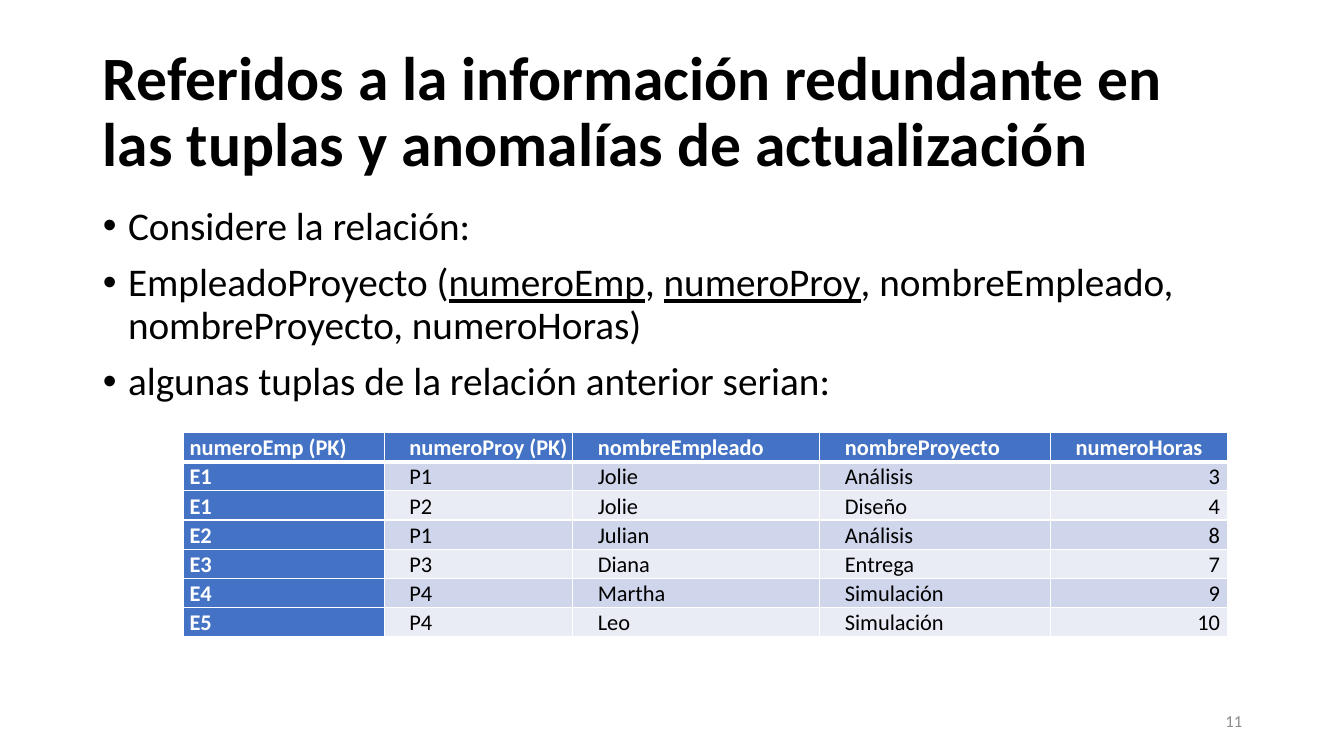
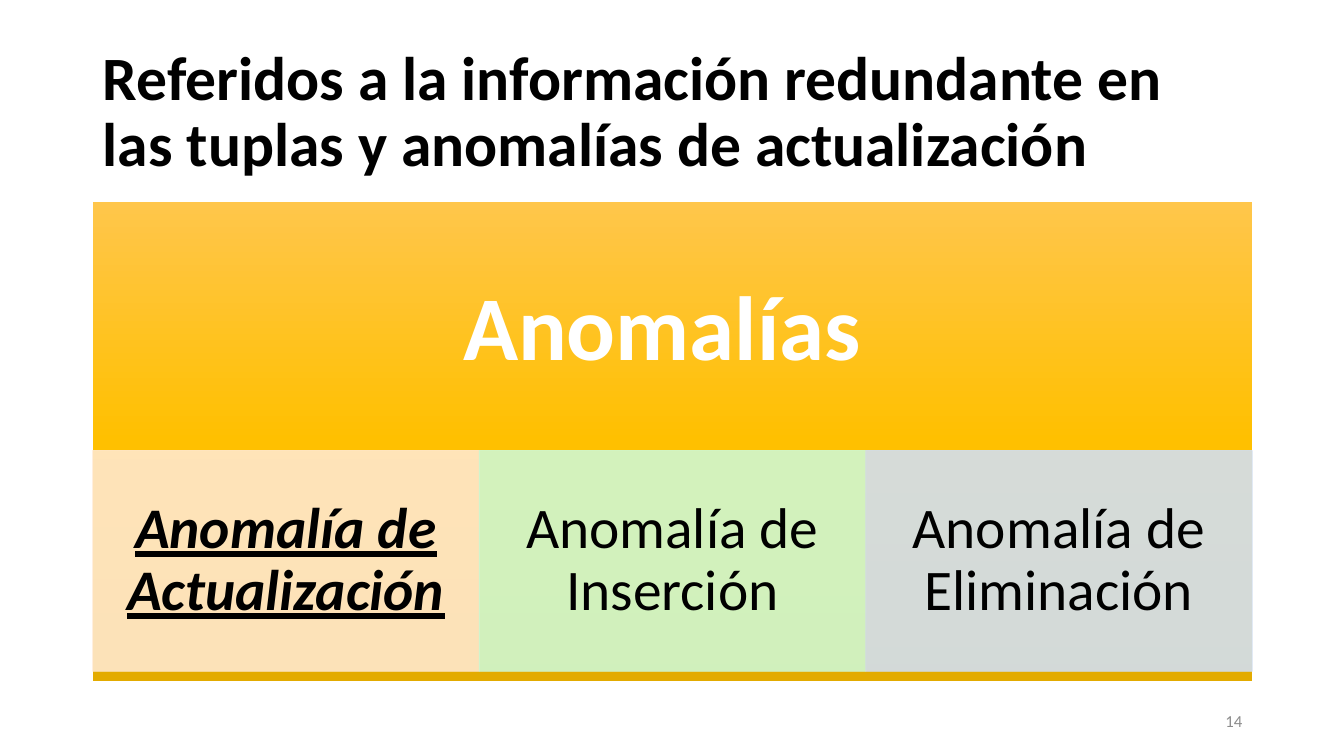
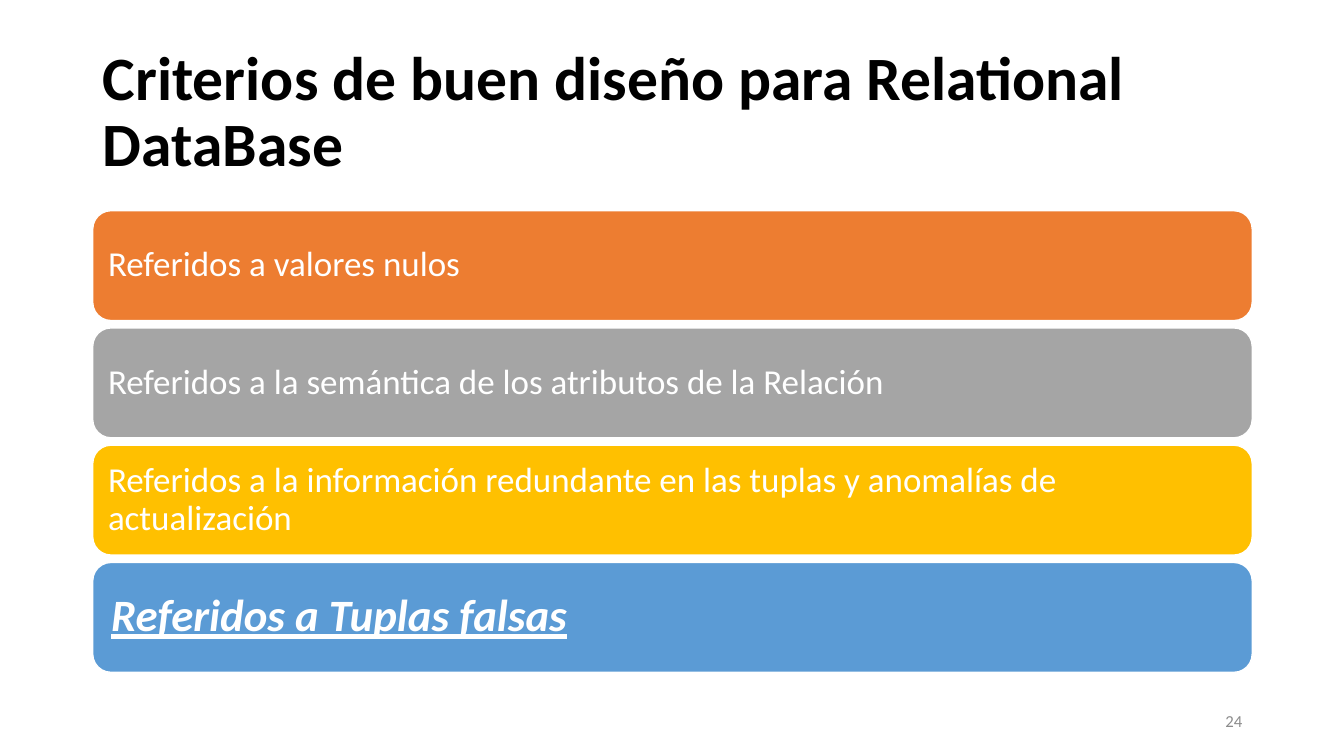
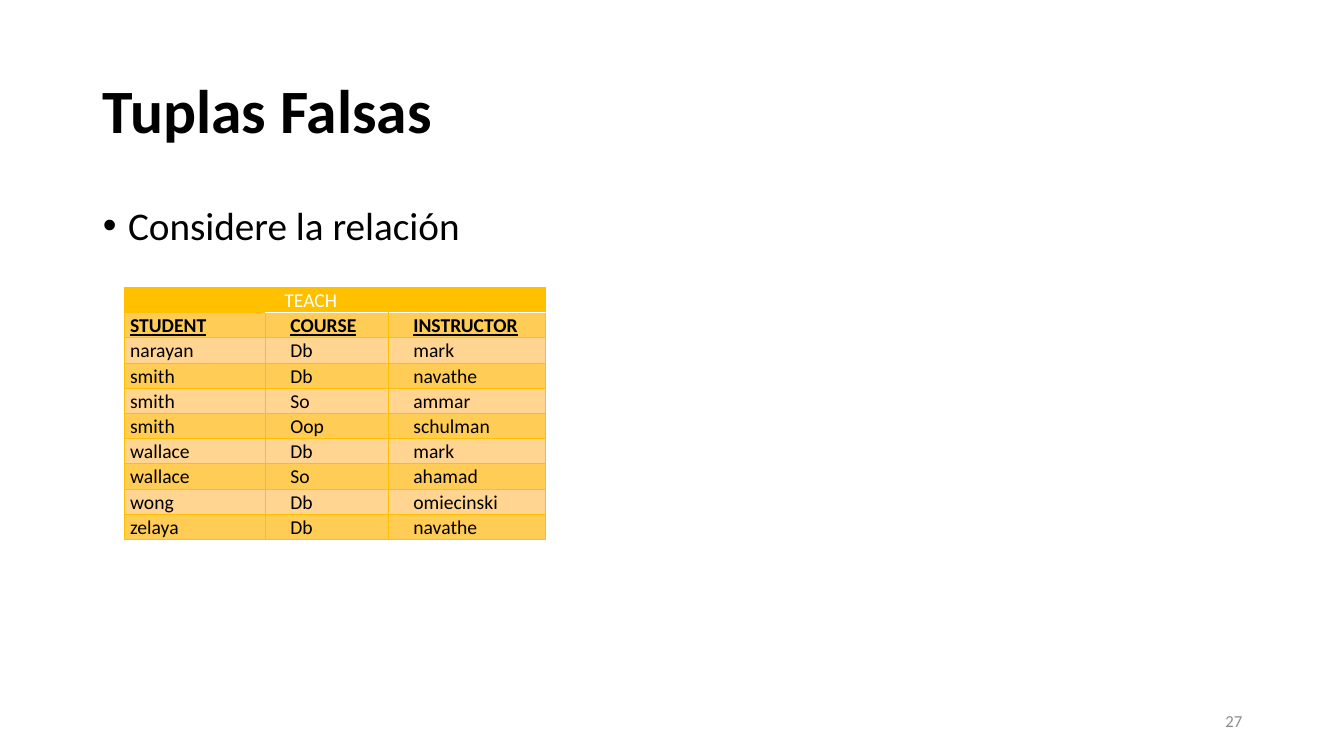
from copy import deepcopy
from dataclasses import dataclass
from typing import Callable

from lxml import etree
from pptx import Presentation
from pptx.dml.color import RGBColor
from pptx.enum.shapes import MSO_SHAPE as Preset
from pptx.enum.text import MSO_ANCHOR as Anchor, MSO_AUTO_SIZE as AutoSize, PP_ALIGN as Align
from pptx.oxml.ns import qn
from pptx.util import Inches, Pt


@dataclass(frozen=True)
class Theme:
    # Colours
    black: str = "000000"
    white: str = "FFFFFF"
    gray: str = "A5A5A5"
    number: str = "8C8C8C"
    blue: str = "4472C4"
    sky: str = "5B9BD5"
    orange: str = "ED7D31"
    gold: str = "FFC000"
    blue_bands: tuple = ("E9EBF5", "CFD5EA")
    gold_bands: tuple = ("FFD591", "FFCC55")
    gradient: tuple = ("FFC64B", "FFC000", "E3AB00")
    panels: tuple = ("FFE8CC", "CFF8D1", "D2DFF0")
    # Type
    font: str = "Calibri"
    title_size: int = 44
    body_size: int = 28
    number_size: int = 12
    banner_size: int = 65
    panel_size: int = 41
    bar_size: int = 25
    strong_bar_size: int = 32
    # Shared column of the page, in inches
    left: float = 0.92
    width: float = 11.5
    body_top: float = 2
    body_height: float = 4.76


THEME = Theme()
REDUNDANCY = "Referidos a la información redundante en las tuplas y anomalías de actualización"


@dataclass(frozen=True)
class TableLook:
    size: int
    border: tuple                # colour, points
    rule: tuple                  # line below the first row
    rule_from: int               # first column that has the rule
    margin_right: float
    fill: Callable               # (row, column) -> colour
    ink: Callable                # (row, column) -> colour, bold, underline


# Text helpers
def format_runs(para, size, colour, bold=False, italic=False, underline=False):
    for span in para.runs:
        font = span.font
        font.name, font.size = THEME.font, Pt(size)
        font.color.rgb = RGBColor.from_string(colour)
        font.bold, font.italic, font.underline = bold, italic, underline


def set_indent(para, left, first):
    properties = para._p.get_or_add_pPr()
    properties.set("marL", str(Inches(left)))
    properties.set("indent", str(Inches(first)))


def set_margins(frame, horizontal, vertical):
    frame.margin_left = frame.margin_right = Inches(horizontal)
    frame.margin_top = frame.margin_bottom = Inches(vertical)


def place(shape, left, top, width, height):
    shape.left, shape.top = Inches(left), Inches(top)
    shape.width, shape.height = Inches(width), Inches(height)


# Parts every page shares
def add_page(deck, layout, title, number):
    page = deck.slides.add_slide(deck.slide_layouts[layout])
    heading = page.shapes.title
    place(heading, THEME.left, 0.4, THEME.width, 1.45)
    frame = heading.text_frame
    frame.text = title
    frame.auto_size = AutoSize.NONE
    frame.vertical_anchor = Anchor.MIDDLE
    para = frame.paragraphs[0]
    para.alignment, para.line_spacing = Align.LEFT, 0.9
    format_runs(para, THEME.title_size, THEME.black, bold=True)

    box = page.shapes.add_textbox(Inches(9.42), Inches(6.95), Inches(3), Inches(0.4))
    box.text_frame.word_wrap = True
    box.text_frame.vertical_anchor = Anchor.MIDDLE
    para = box.text_frame.paragraphs[0]
    para.text = str(number)
    para.alignment = Align.RIGHT
    format_runs(para, THEME.number_size, THEME.number)
    return page


def fill_list(page, items):
    """Each item is a list of pieces; every second piece is underlined."""
    body = page.placeholders[1]
    place(body, THEME.left, THEME.body_top, THEME.width, THEME.body_height)
    frame = body.text_frame
    frame.auto_size = AutoSize.NONE
    for index, pieces in enumerate(items):
        para = frame.paragraphs[0] if index == 0 else frame.add_paragraph()
        for piece in pieces:
            para.add_run().text = piece
        set_indent(para, 0.25, -0.25)
        para.line_spacing, para.space_before = 0.9, Pt(10)
        format_runs(para, THEME.body_size, THEME.black)
        for span in para.runs[1::2]:
            span.font.underline = True


# Shapes with text
def add_block(page, preset, left, top, width, height, text, fill, size, ink,
              align=Align.CENTER, line=None, strong=False):
    block = page.shapes.add_shape(preset, Inches(left), Inches(top), Inches(width), Inches(height))
    block.shadow.inherit = False
    block.fill.solid()
    block.fill.fore_color.rgb = RGBColor.from_string(fill)
    if line:
        block.line.color.rgb = RGBColor.from_string(line[0])
        block.line.width = Pt(line[1])
    else:
        block.line.fill.background()
    frame = block.text_frame
    frame.text = text
    frame.word_wrap = True
    frame.vertical_anchor = Anchor.MIDDLE
    para = frame.paragraphs[0]
    para.alignment, para.line_spacing = align, 0.9
    format_runs(para, size, ink, strong, strong, strong)
    return block


def set_gradient(shape, colours):
    shape.fill.gradient()
    shape.fill.gradient_angle = 270
    last = list(shape._element.iter(qn("a:gs")))[-1]
    last.addprevious(deepcopy(last))
    for index, (stop, colour) in enumerate(zip(shape.fill.gradient_stops, colours)):
        stop.color.rgb = RGBColor.from_string(colour)
        stop.position = index / (len(colours) - 1)


def set_opacity(shape, percent):
    for colour in shape._element.spPr.iter(qn("a:srgbClr")):
        etree.SubElement(colour, qn("a:alpha"), val=str(percent * 1000))


# Tables
def add_edge(cell, side, colour, points):
    edge = etree.SubElement(cell._tc.get_or_add_tcPr(), qn(f"a:ln{side}"), w=str(Pt(points)))
    fill = etree.SubElement(edge, qn("a:solidFill"))
    etree.SubElement(fill, qn("a:srgbClr"), val=colour)


def format_cell(cell, row, column, text, look):
    ruled = column >= look.rule_from
    for side in "LRTB":
        on_rule = ruled and (row, side) in ((0, "B"), (1, "T"))
        add_edge(cell, side, *(look.rule if on_rule else look.border))
    cell.fill.solid()
    cell.fill.fore_color.rgb = RGBColor.from_string(look.fill(row, column))
    cell.margin_left = cell.margin_top = cell.margin_bottom = 0
    cell.margin_right = Inches(look.margin_right)
    para = cell.text_frame.paragraphs[0]
    if text:
        para.text = text
    else:
        etree.SubElement(para._p, qn("a:endParaRPr"), sz=str(look.size * 100))
    para.line_spacing = 1.07
    set_indent(para, 0.26 if column else 0.07, -0.01)
    colour, bold, underline = look.ink(row, column)
    format_runs(para, look.size, colour, bold, underline=underline)


def add_grid(page, left, top, widths, row_height, rows, look):
    frame = page.shapes.add_table(len(rows), len(widths), Inches(left), Inches(top),
                                  Inches(sum(widths)), Inches(row_height * len(rows)))
    table = frame.table
    table.first_row = table.horz_banding = False
    for column, width in zip(table.columns, widths):
        column.width = Inches(width)
    for r, values in enumerate(rows):
        table.rows[r].height = Inches(row_height)
        for c, text in enumerate(values):
            format_cell(table.cell(r, c), r, c, text, look)
    return table


# Pages
def add_project_page(deck):
    page = add_page(deck, 1, REDUNDANCY, 11)
    fill_list(page, [
        ["Considere la relación:"],
        ["EmpleadoProyecto (", "numeroEmp", ", ", "numeroProy",
         ", nombreEmpleado, nombreProyecto, numeroHoras)"],
        ["algunas tuplas de la relación anterior serian:"],
    ])
    rows = [
        ["numeroEmp (PK)", "numeroProy (PK)", "nombreEmpleado", "nombreProyecto", "numeroHoras "],
        ["E1", "P1", "Jolie", "Análisis", "3 "],
        ["E1", "P2", "Jolie", "Diseño", "4 "],
        ["E2", "P1", "Julian", "Análisis", "8 "],
        ["E3", "P3", "Diana", "Entrega", "7 "],
        ["E4", "P4", "Martha", "Simulación", "9 "],
        ["E5", "P4", "Leo", "Simulación", "10 "],
    ]

    def is_head(row, column):
        return row == 0 or column == 0

    look = TableLook(
        size=16, border=(THEME.white, 1), rule=(THEME.white, 3), rule_from=0, margin_right=0.03,
        fill=lambda r, c: THEME.blue if is_head(r, c) else THEME.blue_bands[r % 2],
        ink=lambda r, c: (THEME.white, True, False) if is_head(r, c) else (THEME.black, False, False))
    table = add_grid(page, 1.82, 4.29, [1.99, 1.87, 2.45, 2.29, 1.76], 0.29, rows, look)
    for r in range(len(rows)):
        hours = table.cell(r, 4).text_frame.paragraphs[0]
        hours.alignment = Align.RIGHT if r else Align.JUSTIFY


def add_anomaly_page(deck):
    page = add_page(deck, 5, REDUNDANCY, 14)
    banner = add_block(page, Preset.RECTANGLE, THEME.left, THEME.body_top, THEME.width,
                       THEME.body_height, "Anomalías ", THEME.gold, THEME.banner_size, THEME.white)
    set_gradient(banner, THEME.gradient)
    set_margins(banner.text_frame, 0.51, 0)
    banner.text_frame.margin_bottom = Inches(2.19)
    banner.text_frame.paragraphs[0].runs[0].font.bold = True

    kinds = ["Anomalía de Actualización ", "Anomalía de Inserción", "Anomalía de Eliminación"]
    width = THEME.width / len(kinds)
    for index, (kind, colour) in enumerate(zip(kinds, THEME.panels)):
        panel = add_block(page, Preset.RECTANGLE, THEME.left + index * width, 4.47, width, 2.19,
                          kind, colour, THEME.panel_size, THEME.black,
                          line=(colour, 0.5), strong=index == 0)
        set_margins(panel.text_frame, 0.32, 0.06)
        set_opacity(panel, 90)


def add_criteria_page(deck):
    page = add_page(deck, 5, "Criterios de buen diseño para Relational DataBase", 24)
    criteria = [
        ("Referidos a valores nulos", THEME.orange),
        ("Referidos a la semántica de los atributos de la Relación", THEME.gray),
        (REDUNDANCY, THEME.gold),
        ("Referidos a Tuplas falsas", THEME.sky),
    ]
    first, last, height = 2.09, 5.58, 1.09
    pitch = (last - first) / (len(criteria) - 1)
    for index, (text, colour) in enumerate(criteria):
        strong = index == len(criteria) - 1
        size = THEME.strong_bar_size if strong else THEME.bar_size
        bar = add_block(page, Preset.ROUNDED_RECTANGLE, THEME.left, first + index * pitch,
                        THEME.width, height, text, colour, size, THEME.white,
                        Align.LEFT, (THEME.white, 1), strong)
        inset = 0.13 if strong else 0.1
        set_margins(bar.text_frame, inset, inset)


def add_teach_page(deck):
    page = add_page(deck, 1, "Tuplas Falsas", 27)
    fill_list(page, [["Considere la relación"]])
    rows = [
        ["", "TEACH", ""],
        ["STUDENT", "COURSE", "INSTRUCTOR"],
        ["narayan", "Db", "mark"],
        ["smith", "Db", "navathe"],
        ["smith", "So", "ammar"],
        ["smith", "Oop", "schulman"],
        ["wallace", "Db", "mark"],
        ["wallace", "So", "ahamad"],
        ["wong", "Db", "omiecinski"],
        ["zelaya", "Db", "navathe"],
    ]
    look = TableLook(
        size=14, border=(THEME.gold, 0.5), rule=(THEME.white, 1), rule_from=1, margin_right=0.08,
        fill=lambda r, c: THEME.gold_bands[r % 2] if r else THEME.gold,
        ink=lambda r, c: (THEME.black if r else THEME.white, r == 1, r == 1))
    table = add_grid(page, 1.23, 2.85, [1.4, 1.22, 1.56], 0.25, rows, look)
    heading = table.cell(0, 1)
    heading.merge(table.cell(0, 2))
    set_indent(heading.text_frame.paragraphs[0], 0.2, -0.01)


def main():
    deck = Presentation()
    deck.slide_width, deck.slide_height = Inches(13.33), Inches(7.5)
    add_project_page(deck)
    add_anomaly_page(deck)
    add_criteria_page(deck)
    add_teach_page(deck)
    deck.save("out.pptx")


if __name__ == "__main__":
    main()
